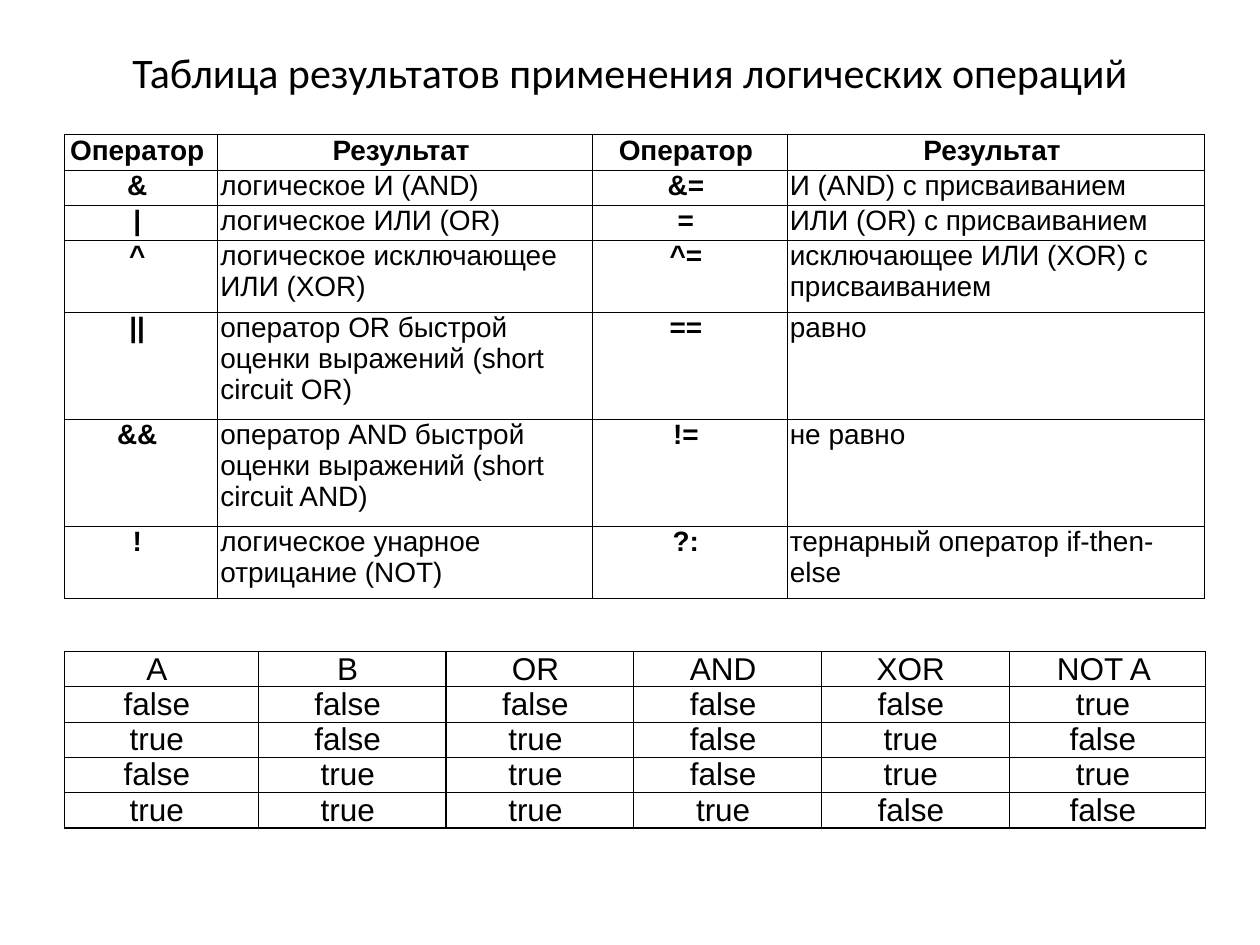
"""Build a slide with a table of logical operators and a truth table."""
import dataclasses

import lxml.etree
import pptx
import pptx.dml.color
import pptx.enum.text
import pptx.oxml.ns
import pptx.presentation
import pptx.slide
import pptx.table
import pptx.text.text
import pptx.util

Inches = pptx.util.Inches
COLORS = {"ink": "000000", "paper": "FFFFFF"}
CENTER = pptx.enum.text.PP_ALIGN.CENTER
LEFT = pptx.enum.text.PP_ALIGN.LEFT
TABLE_LEFT = 0.51

OPERATOR_ROWS = (
    ("Оператор", "Результат", "Оператор", "Результат"),
    ("&", "логическое И (AND)", "&=", "И (AND) с присваиванием"),
    ("|", "логическое ИЛИ (OR)", "=", "ИЛИ (OR) с присваиванием"),
    ("^", "логическое исключающее ИЛИ (XOR)", "^=", "исключающее ИЛИ (XOR) с присваиванием"),
    ("||", "оператор OR быстрой оценки выражений (short circuit OR)", "==", "равно"),
    ("&&", "оператор AND быстрой оценки выражений (short circuit AND)", "!=", "не равно"),
    ("!", "логическое унарное отрицание (NOT)", "?:", "тернарный оператор if-then-else"),
)
TRUTH_ROWS = (
    ("А", "В", "OR", "AND", "XOR", "NOT A"),
    ("false", "false", "false", "false", "false", "true"),
    ("true", "false", "true", "false", "true", "false"),
    ("false", "true", "true", "false", "true", "true"),
    ("true", "true", "true", "true", "false", "false"),
)


@dataclasses.dataclass(frozen=True)
class TableLayout:
    rows: tuple[tuple[str, ...], ...]
    top: float
    widths: tuple[float, ...]
    heights: tuple[float, ...]
    size: int
    side_margin: float
    description_columns: tuple[int, ...] = ()
    bold_labels: bool = False


TABLES = (
    TableLayout(TRUTH_ROWS, 5.17, (1.54, *[1.49] * 4, 1.56), (0.28,) * 5, 18, 0.03),
    TableLayout(OPERATOR_ROWS, 1.07, (1.22, 2.97, 1.55, 3.31),
                (0.28, 0.28, 0.28, 0.57, 0.85, 0.85, 0.57), 16, 0.02, (1, 3), True),
)


def write_text(frame: pptx.text.text.TextFrame, text: str, *, size: int, font: str = "Arial",
               bold: bool = False, align: pptx.enum.text.PP_ALIGN = CENTER) -> None:
    """Fill a text frame with one formatted paragraph."""
    paragraph = frame.paragraphs[0]
    paragraph.alignment = align
    run = paragraph.add_run()
    run.text = text
    run.font.name = font
    run.font.size = pptx.util.Pt(size)
    run.font.bold = bold
    run.font.color.rgb = pptx.dml.color.RGBColor.from_string(COLORS["ink"])


def add_borders(cell: pptx.table._Cell, width: float = 0.75) -> None:
    """Draw a solid line on all four sides of a cell."""
    properties = cell._tc.get_or_add_tcPr()
    qualified = pptx.oxml.ns.qn
    for index, side in enumerate(("lnL", "lnR", "lnT", "lnB")):
        line = lxml.etree.Element(qualified(f"a:{side}"), w=str(pptx.util.Pt(width)))
        fill = lxml.etree.SubElement(line, qualified("a:solidFill"))
        lxml.etree.SubElement(fill, qualified("a:srgbClr"), val=COLORS["ink"])
        properties.insert(index, line)


def add_grid(slide: pptx.slide.Slide, layout: TableLayout) -> None:
    """Add a bordered table described by its layout."""
    table = slide.shapes.add_table(
        len(layout.rows), len(layout.widths), Inches(TABLE_LEFT), Inches(layout.top),
        Inches(sum(layout.widths)), Inches(sum(layout.heights))).table
    table.first_row = table.horz_banding = False
    for column, width in zip(table.columns, layout.widths):
        column.width = Inches(width)
    for row, height in zip(table.rows, layout.heights):
        row.height = Inches(height)
    for row_index, texts in enumerate(layout.rows):
        for column_index, text in enumerate(texts):
            cell = table.cell(row_index, column_index)
            cell.margin_left = cell.margin_right = Inches(layout.side_margin)
            cell.margin_top = cell.margin_bottom = 0
            cell.fill.background()
            add_borders(cell)
            is_description = row_index > 0 and column_index in layout.description_columns
            write_text(cell.text_frame, text if is_description else f"{text} ",
                       size=layout.size, bold=layout.bold_labels and not is_description,
                       align=LEFT if is_description else CENTER)


def add_title(slide: pptx.slide.Slide, text: str) -> None:
    """Place and format the slide title."""
    title = slide.shapes.title
    title.left, title.top = Inches(0.5), Inches(0.3)
    title.width, title.height = Inches(9), Inches(0.54)
    title.text_frame.vertical_anchor = pptx.enum.text.MSO_ANCHOR.MIDDLE
    title.text_frame.word_wrap = True
    write_text(title.text_frame, text, size=24, font="Calibri")


def build_presentation() -> pptx.presentation.Presentation:
    """Create the presentation with its single slide."""
    presentation = pptx.Presentation()
    presentation.slide_width, presentation.slide_height = Inches(10), Inches(7.5)
    slide = presentation.slides.add_slide(presentation.slide_layouts.get_by_name("Title Only"))
    background = slide.background.fill
    background.solid()
    background.fore_color.rgb = pptx.dml.color.RGBColor.from_string(COLORS["paper"])
    add_title(slide, "Таблица результатов применения логических операций")
    for layout in TABLES:
        add_grid(slide, layout)
    return presentation


if __name__ == "__main__":
    build_presentation().save("out.pptx")
